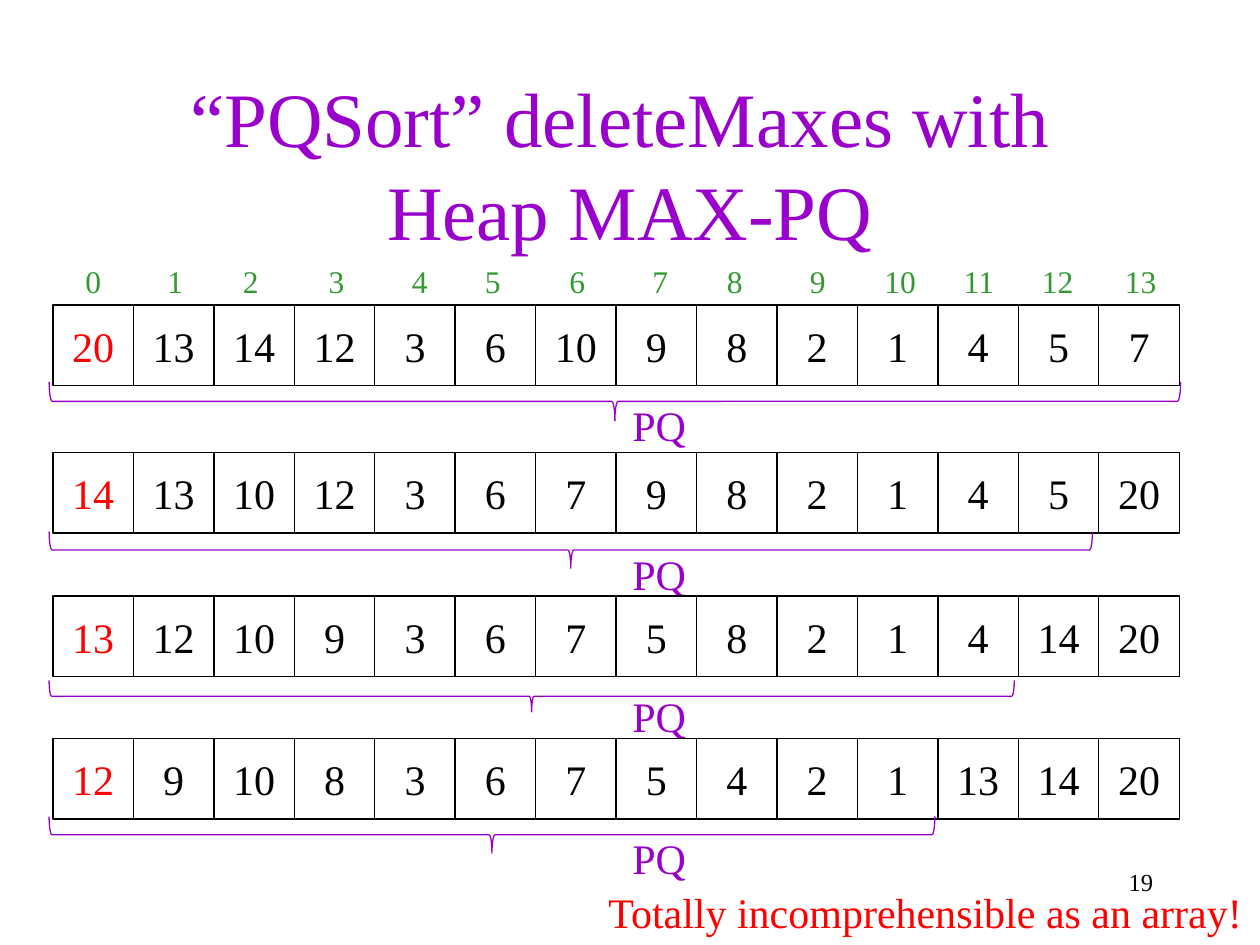
from pptx import Presentation
from pptx.dml.color import RGBColor
from pptx.enum.shapes import MSO_SHAPE
from pptx.enum.text import MSO_ANCHOR, MSO_AUTO_SIZE, PP_ALIGN
from pptx.util import Inches, Pt

RECT, BRACE = MSO_SHAPE.RECTANGLE, MSO_SHAPE.LEFT_BRACE
MIDDLE = MSO_ANCHOR.MIDDLE
LEFT, CENTER, RIGHT = PP_ALIGN.LEFT, PP_ALIGN.CENTER, PP_ALIGN.RIGHT
FIXED, GROW = MSO_AUTO_SIZE.NONE, MSO_AUTO_SIZE.SHAPE_TO_FIT_TEXT

COLORS = {"title": "9900CC", "index": "339933", "text": "000000", "max": "FF0000"}
FONT = "Times New Roman"

CELL, PITCH, START = 0.64, 8.3 / 13, 0.42
INDEX_LEFTS = [0.58, 1.23, 1.83, 2.51, 3.17, 3.75, 4.42,
               5.08, 5.67, 6.33, 6.92, 7.55, 8.17, 8.83]
# Heap values, row top, brace (top, width, height), label top
STEPS = [
    ([20, 13, 14, 12, 3, 6, 10, 9, 8, 2, 1, 4, 5, 7], 2.42, (3.03, 8.98, 0.31), 3.12),
    ([14, 13, 10, 12, 3, 6, 7, 9, 8, 2, 1, 4, 5, 20], 3.59, (4.22, 8.28, 0.29), 4.3),
    ([13, 12, 10, 9, 3, 6, 7, 5, 8, 2, 1, 4, 14, 20], 4.73, (5.4, 7.66, 0.25), 5.43),
    ([12, 9, 10, 8, 3, 6, 7, 5, 4, 2, 1, 13, 14, 20], 5.86, (6.48, 7.03, 0.29), 6.56),
]


class Board:
    """Holds the text style and the slide being drawn."""

    def __init__(self, slide):
        self.slide = slide
        self.shapes = slide.shapes

    def fill_text(self, frame, lines, size, color, align):
        para = frame.paragraphs[0]
        para.alignment = align
        for i, line in enumerate(lines):
            if i:
                para.add_line_break()
            run = para.add_run()
            run.text = line
            run.font.name = FONT
            run.font.size = Pt(size)
            run.font.color.rgb = RGBColor.from_string(COLORS[color])

    def title(self, lines, left, top, width, height):
        shape = self.shapes.title
        shape.left, shape.top = Inches(left), Inches(top)
        shape.width, shape.height = Inches(width), Inches(height)
        frame = shape.text_frame
        frame.auto_size = FIXED
        frame.vertical_anchor = MIDDLE
        self.fill_text(frame, lines, 44, "title", CENTER)

    def label(self, text, left, top, width, height, size, color, align=LEFT, wrap=False):
        box = self.shapes.add_textbox(
            Inches(left), Inches(top), Inches(width), Inches(height))
        frame = box.text_frame
        frame.word_wrap = wrap
        frame.auto_size = FIXED if wrap else GROW
        self.fill_text(frame, [text], size, color, align)

    def outline(self, kind, left, top, width, height, color):
        shape = self.shapes.add_shape(
            kind, Inches(left), Inches(top), Inches(width), Inches(height))
        shape.shadow.inherit = False
        shape.fill.background()
        shape.line.color.rgb = RGBColor.from_string(COLORS[color])
        shape.line.width = Pt(0.75)
        return shape

    def cell(self, value, left, top, color):
        frame = self.outline(RECT, left, top, CELL, CELL, "text").text_frame
        frame.word_wrap = False
        frame.vertical_anchor = MIDDLE
        self.fill_text(frame, [str(value)], 24, color, CENTER)

    def brace(self, left, top, width, height):
        """Draw a brace pointing down; the arguments are its box as seen."""
        shift = (width - height) / 2
        shape = self.outline(BRACE, left + shift, top - shift, height, width, "title")
        shape.rotation = 270
        shape.adjustments[0] = 0.08


def main():
    deck = Presentation()
    deck.slide_width, deck.slide_height = Inches(10), Inches(7.5)
    board = Board(deck.slides.add_slide(deck.slide_layouts[5]))

    board.title(["“PQSort” deleteMaxes with ", "Heap MAX-PQ"], 0.75, 0.67, 8.5, 1.25)
    board.label("19", 7.17, 6.83, 2.08, 0.5, 14, "text", RIGHT, True)
    for i, left in enumerate(INDEX_LEFTS):
        board.label(str(i), left, 2.03, 0.33 if i < 10 else 0.45, 0.4, 18, "index")

    for values, top, (low, width, height), under in STEPS:
        for i, value in enumerate(values):
            board.cell(value, START + i * PITCH, top, "text" if i else "max")
        board.brace(0.39, low, width, height)
        board.label("PQ", 4.92, under, 0.63, 0.51, 24, "title")

    board.label("Totally incomprehensible as an array!", 4.73, 6.99, 5.27, 0.51, 24, "max")
    deck.save("out.pptx")


if __name__ == "__main__":
    main()
